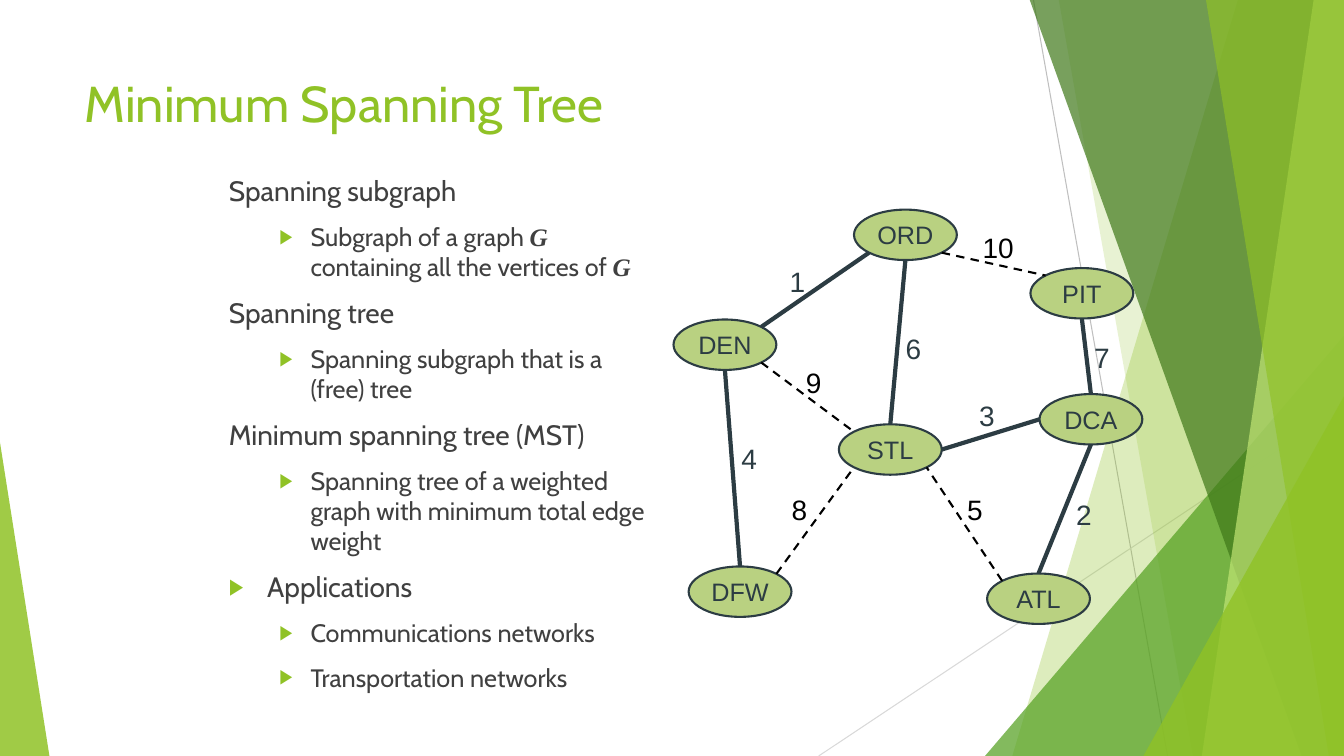
from math import cos, radians, sin

from lxml import etree
from pptx import Presentation
from pptx.dml.color import RGBColor
from pptx.enum.dml import MSO_LINE
from pptx.enum.shapes import MSO_CONNECTOR, MSO_SHAPE
from pptx.enum.text import MSO_ANCHOR, MSO_AUTO_SIZE, PP_ALIGN
from pptx.oxml.ns import qn
from pptx.util import Inches, Pt

OVAL, TRIANGLE = MSO_SHAPE.OVAL, MSO_SHAPE.ISOSCELES_TRIANGLE
STRAIGHT, DASH = MSO_CONNECTOR.STRAIGHT, MSO_LINE.DASH
LEFT, CENTER = PP_ALIGN.LEFT, PP_ALIGN.CENTER
TOP, MIDDLE = MSO_ANCHOR.TOP, MSO_ANCHOR.MIDDLE
NO_FIT = MSO_AUTO_SIZE.NONE

WIDTH, HEIGHT = 13.33, 7.5
GREEN, INK, SLATE, BLACK = "90C226", "404040", "2C3C43", "000000"

TITLE = "Minimum Spanning Tree"
# (level, bulleted, text); *G* marks a graph name
OUTLINE = [
    (0, False, "Spanning subgraph"),
    (1, True, "Subgraph of a graph *G* containing all the vertices of *G*"),
    (0, False, "Spanning tree"),
    (1, True, "Spanning subgraph that is a (free) tree"),
    (0, False, "Minimum spanning tree (MST)"),
    (1, True, "Spanning tree of a weighted graph with minimum total edge weight"),
    (0, True, "Applications"),
    (1, True, "Communications networks"),
    (1, True, "Transportation networks"),
]
# Per level: text size, left margin, hanging indent
LEVELS = [(20, 0.38, -0.38), (18, 0.81, -0.31)]

# Centre of each airport
AIRPORTS = {
    "ORD": (8.98, 2.33), "PIT": (10.73, 2.91), "ATL": (10.3, 5.94),
    "STL": (8.83, 4.46), "DEN": (7.19, 3.42), "DFW": (7.34, 5.87),
    "DCA": (10.82, 4.16),
}
OVAL_W, OVAL_H = 1.02, 0.5
# Direction, in degrees clockwise from the right, of each point on an oval
SIDES = {"E": 0, "SE": 45, "S": 90, "SW": 135, "W": 180, "NW": 225, "N": 270, "NE": 315}
# (airport, side, airport, side, weight, weight's centre)
TREE_EDGES = [
    ("DEN", "NE", "ORD", "SW", 1, (7.91, 2.79)),
    ("STL", "N", "ORD", "S", 6, (9.06, 3.46)),
    ("STL", "E", "DCA", "W", 3, (9.79, 4.12)),
    ("DCA", "N", "PIT", "S", 7, (10.93, 3.54)),
    ("DEN", "S", "DFW", "N", 4, (7.43, 4.55)),
    ("DCA", "S", "ATL", "N", 2, (10.75, 5.1)),
]
OTHER_EDGES = [
    ("ORD", "SE", "PIT", "NW", 10, (9.9, 2.45)),
    ("ATL", "NW", "STL", "SE", 5, (9.67, 5.05)),
    ("DFW", "NE", "STL", "SW", 8, (7.93, 5.05)),
    ("DEN", "SE", "STL", "NW", 9, (8.07, 3.79)),
]

# Background, back to front
RAYS = [((10.25, 0), (11.58, HEIGHT), "BFBFBF"), ((WIDTH, 4.03), (8.12, HEIGHT), "D9D9D9")]
# ("band", left at top, left at bottom, ...) reaches the right edge;
# ("wedge", left, right, top, apex share, ...) stands on the bottom edge
FACETS = [
    ("band", (12.28, 10.04), GREEN, 30),
    ("band", (10.5, 11.83), GREEN, 20),
    ("wedge", (9.77, WIDTH, 3.33, 1), "54A021", 72),
    ("band", (10.21, 12.91), "3F7819", 70),
    ("band", (13.03, 11.92), "C0E474", 70),
    ("band", (11.96, 13.18), GREEN, 65),
    ("wedge", (11.34, WIDTH, 3.93, 1), GREEN, 80),
    ("wedge", (0, 0.49, 4.39, 0), GREEN, 85),
]


def rgb(value):
    return RGBColor.from_string(value)


def apply(target, formats):
    for name, value in formats.items():
        setattr(target, name, value)


def style_font(font, size, name, color, **extra):
    apply(font, {"size": Pt(size), "name": name, **extra})
    font.color.rgb = rgb(color)


def place(shape, left, top, width, height):
    apply(shape, {"left": Inches(left), "top": Inches(top),
                  "width": Inches(width), "height": Inches(height)})


def fill_flat(shape, color, opacity=100):
    shape.shadow.inherit = False
    shape.fill.solid()
    shape.fill.fore_color.rgb = rgb(color)
    if opacity < 100:
        tint = shape.fill._xPr.find(qn("a:solidFill"))[0]
        etree.SubElement(tint, qn("a:alpha"), val=str(opacity * 1000))


def add_line(shapes, start, end, color, weight, dashed=False):
    ends = [Inches(value) for value in (*start, *end)]
    line = shapes.add_connector(STRAIGHT, *ends)
    line.line.color.rgb = rgb(color)
    line.line.width = Pt(weight)
    if dashed:
        line.line.dash_style = DASH
    etree.SubElement(line.element.spPr, qn("a:effectLst"))


def add_facet(shapes, kind, geometry, color, opacity):
    if kind == "band":
        upper, lower = geometry
        corners = [(upper, -0.01), (WIDTH, -0.01), (WIDTH, HEIGHT), (lower, HEIGHT)]
        points = [(Inches(x), Inches(y)) for x, y in corners]
        outline = shapes.build_freeform(*points[0])
        outline.add_line_segments(points[1:], close=True)
        facet = outline.convert_to_shape()
    else:
        left, right, top, apex = geometry
        facet = shapes.add_shape(TRIANGLE, 0, 0, 0, 0)
        place(facet, left, top, right - left, HEIGHT - top)
        facet.adjustments[0] = apex
    fill_flat(facet, color, opacity)
    facet.line.fill.background()


def set_bullet(paragraph, level, bulleted):
    _, margin, indent = LEVELS[level]
    props = paragraph._p.get_or_add_pPr()
    props.set("marL", str(Inches(margin)))
    props.set("indent", str(Inches(indent)))
    if not bulleted:
        etree.SubElement(props, qn("a:buNone"))
        return
    tint = etree.SubElement(props, qn("a:buClr"))
    etree.SubElement(tint, qn("a:srgbClr"), val=GREEN)
    etree.SubElement(props, qn("a:buSzPct"), val="80000")
    etree.SubElement(props, qn("a:buChar"), char="▶")


def write_outline(frame):
    for row, (level, bulleted, text) in enumerate(OUTLINE):
        paragraph = frame.add_paragraph() if row else frame.paragraphs[0]
        set_bullet(paragraph, level, bulleted)
        apply(paragraph, {"level": level, "alignment": LEFT,
                          "space_before": Pt(10 if row else 0)})
        for part, words in enumerate(text.split("*")):
            if words:
                run = paragraph.add_run()
                run.text = words
                is_graph = part % 2 == 1
                style_font(run.font, LEVELS[level][0],
                           "Times New Roman" if is_graph else "Cabin", INK,
                           bold=is_graph, italic=is_graph)


def write_centered(shape, text, size, color):
    frame = shape.text_frame
    apply(frame, {"word_wrap": False, "vertical_anchor": MIDDLE})
    paragraph = frame.paragraphs[0]
    paragraph.text = text
    paragraph.alignment = CENTER
    style_font(paragraph.font, size, "Arial", color)


def rim_point(airport, side):
    x, y = AIRPORTS[airport]
    angle = radians(SIDES[side])
    return x + OVAL_W / 2 * cos(angle), y + OVAL_H / 2 * sin(angle)


def main():
    deck = Presentation()
    deck.slide_width, deck.slide_height = Inches(WIDTH), Inches(HEIGHT)
    shapes = deck.slides.add_slide(deck.slide_layouts[1]).shapes
    title, body = shapes.title, shapes.placeholders[1]

    for start, end, color in RAYS:
        add_line(shapes, start, end, color, 0.75)
    for facet in FACETS:
        add_facet(shapes, *facet)

    place(title, 0.74, 0.67, 9.4, 1.44)
    place(body, 2.17, 1.67, 4.47, 5.17)
    for holder in (title, body):
        shapes.element.append(holder.element)  # in front of the background
        apply(holder.text_frame, {"word_wrap": True, "auto_size": NO_FIT, "vertical_anchor": TOP})
    title.text_frame.text = TITLE
    heading = title.text_frame.paragraphs[0]
    heading.alignment = LEFT
    style_font(heading.font, 36, "Cabin", GREEN)
    write_outline(body.text_frame)

    for airport, (x, y) in AIRPORTS.items():
        oval = shapes.add_shape(OVAL, 0, 0, 0, 0)
        place(oval, x - OVAL_W / 2, y - OVAL_H / 2, OVAL_W, OVAL_H)
        fill_flat(oval, "B9D181")
        oval.line.color.rgb = rgb(SLATE)
        oval.line.width = Pt(1.5)
        write_centered(oval, airport, 18, SLATE)

    for edges, color, thickness, dashed in ((TREE_EDGES, SLATE, 3, False),
                                            (OTHER_EDGES, BLACK, 1.5, True)):
        for origin, origin_side, target, target_side, weight, (x, y) in edges:
            add_line(shapes, rim_point(origin, origin_side), rim_point(target, target_side),
                     color, thickness, dashed)
            label = shapes.add_textbox(0, 0, 0, 0)
            label_width = 0.21 + 0.15 * len(str(weight))
            place(label, x - label_width / 2, y - 0.22, label_width, 0.44)
            write_centered(label, str(weight), 20, color)

    deck.save("out.pptx")


if __name__ == "__main__":
    main()
